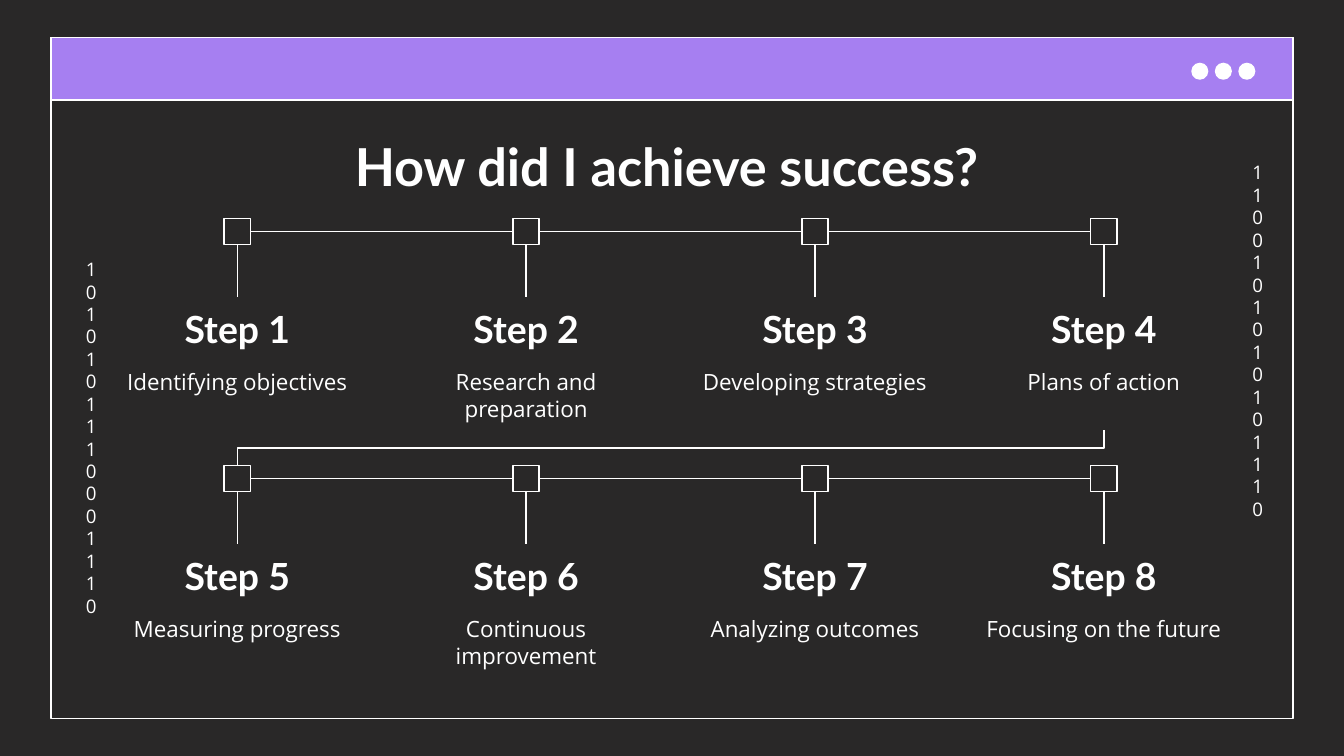
from pptx import Presentation
from pptx.dml.color import RGBColor
from pptx.enum.shapes import MSO_CONNECTOR, MSO_SHAPE
from pptx.enum.text import MSO_ANCHOR, MSO_AUTO_SIZE, PP_ALIGN
from pptx.oxml.ns import qn
from pptx.util import Pt
from lxml import etree

DARK = RGBColor(0x29, 0x28, 0x28)
WHITE = RGBColor(0xFF, 0xFF, 0xFF)
PURPLE = RGBColor(0xA6, 0x7F, 0xF1)
RECT, OVAL = MSO_SHAPE.RECTANGLE, MSO_SHAPE.OVAL
STRAIGHT, ELBOW = MSO_CONNECTOR.STRAIGHT, MSO_CONNECTOR.ELBOW
TOP, BOTTOM = MSO_ANCHOR.TOP, MSO_ANCHOR.BOTTOM
CENTER, FIXED = PP_ALIGN.CENTER, MSO_AUTO_SIZE.NONE
HEAD, BODY = "Lato", "Open Sans"

ROWS = [
    ["Identifying objectives", "Research and preparation",
     "Developing strategies", "Plans of action"],
    ["Measuring progress", "Continuous improvement",
     "Analyzing outcomes", "Focusing on the future"],
]
DIGITS = [
    (663.9, 79.2, ["1100101010101110"]),
    (39, 131, ["101010111000111", "0"]),
]
MID, COL = 127.1, 154.75     # centre of the first column, column pitch
FIRST, ROW = 117, 132.4      # top of the first row, row pitch
NODE, STEM = 14, 28
WIDE = 142.6


class Page:
    """Holds the slide and the style of its elements."""

    def __init__(self, slide):
        self.slide = slide
        self.shapes = slide.shapes
        fill = slide.background.fill
        fill.solid()
        fill.fore_color.rgb = DARK

    def shape(self, kind, x, y, w, h, color=None):
        shape = self.shapes.add_shape(kind, Pt(x), Pt(y), Pt(w), Pt(h))
        shape.shadow.inherit = False
        if color is None:
            shape.fill.background()
        else:
            shape.fill.solid()
            shape.fill.fore_color.rgb = color
        shape.line.color.rgb = WHITE
        shape.line.width = Pt(0.75)
        return shape

    def set_text(self, frame, lines, size, font, bold=False, anchor=TOP):
        """Fill a text frame with centred white paragraphs."""
        frame.word_wrap = True
        frame.auto_size = FIXED
        frame.vertical_anchor = anchor
        frame.margin_left = frame.margin_right = Pt(7.2)
        frame.margin_top = frame.margin_bottom = Pt(7.2)
        frame.text = "\n".join(lines)
        for para in frame.paragraphs:
            para.alignment = CENTER
            para.font.size = Pt(size)
            para.font.name = font
            para.font.bold = bold
            para.font.color.rgb = WHITE

    def title(self, text, x, y, w, h):
        title = self.shapes.title
        title.left, title.top = Pt(x), Pt(y)
        title.width, title.height = Pt(w), Pt(h)
        self.set_text(title.text_frame, [text], 28, HEAD, True)

    def text(self, lines, x, y, w, h, size, font, bold=False, anchor=TOP):
        box = self.shapes.add_textbox(Pt(x), Pt(y), Pt(w), Pt(h))
        self.set_text(box.text_frame, lines, size, font, bold, anchor)
        return box

    def line(self, kind, x1, y1, x2, y2):
        line = self.shapes.add_connector(kind, Pt(x1), Pt(y1), Pt(x2), Pt(y2))
        line.line.color.rgb = WHITE
        line.line.width = Pt(0.75)
        etree.SubElement(line._element.spPr, qn("a:effectLst"))
        return line

    def join(self, start, side, end, other):
        line = self.line(STRAIGHT, 0, 0, 0, 0)
        line.begin_connect(start, side)
        line.end_connect(end, other)

    def drop(self, x1, y1, x2, y2):
        """Elbow that leaves downwards: a quarter-turned connector."""
        x, y = (x1 + x2) / 2, (y1 + y2) / 2
        w, h = (y2 - y1) / 2, (x1 - x2) / 2
        line = self.line(ELBOW, x - w, y - h, x + w, y + h)
        line._element.spPr.find(qn("a:xfrm")).set("rot", "5400000")

    def step(self, num, note, mid, top):
        """Draw one step and return its node."""
        node = self.shape(RECT, mid - NODE / 2, top, NODE, NODE, DARK)
        left, low = mid - WIDE / 2, top + NODE + STEM
        label = self.text([f"Step {num}"], left, low, WIDE, 36, 20, HEAD,
                          True, BOTTOM)
        self.text([note], left, low + 31, WIDE, 41, 12, BODY)
        self.join(node, 2, label, 0)
        return node


def main():
    deck = Presentation()
    deck.slide_width, deck.slide_height = Pt(720), Pt(405)
    page = Page(deck.slides.add_slide(deck.slide_layouts[5]))

    page.shape(RECT, 27.4, 20.2, 665.2, 364.8)
    page.shape(RECT, 27.4, 20.2, 665.2, 33.5, PURPLE)
    for i in range(3):
        page.shape(OVAL, 638.6 + 12.6 * i, 34, 8.4, 8.4, WHITE)
    for x, y, lines in DIGITS:
        page.text(lines, x, y, 17.3, 201.6, 10, BODY)
    page.title("How did I achieve success? ", 56.9, 64.8, 607, 45.4)

    for r, notes in enumerate(ROWS):
        top = FIRST + ROW * r
        nodes = [page.step(r * len(notes) + c + 1, note, MID + COL * c, top)
                 for c, note in enumerate(notes)]
        for a, b in zip(nodes, nodes[1:]):
            page.join(a, 3, b, 1)
    page.drop(MID + COL * 3, 230.6, MID, FIRST + ROW)

    deck.save("out.pptx")


if __name__ == "__main__":
    main()
